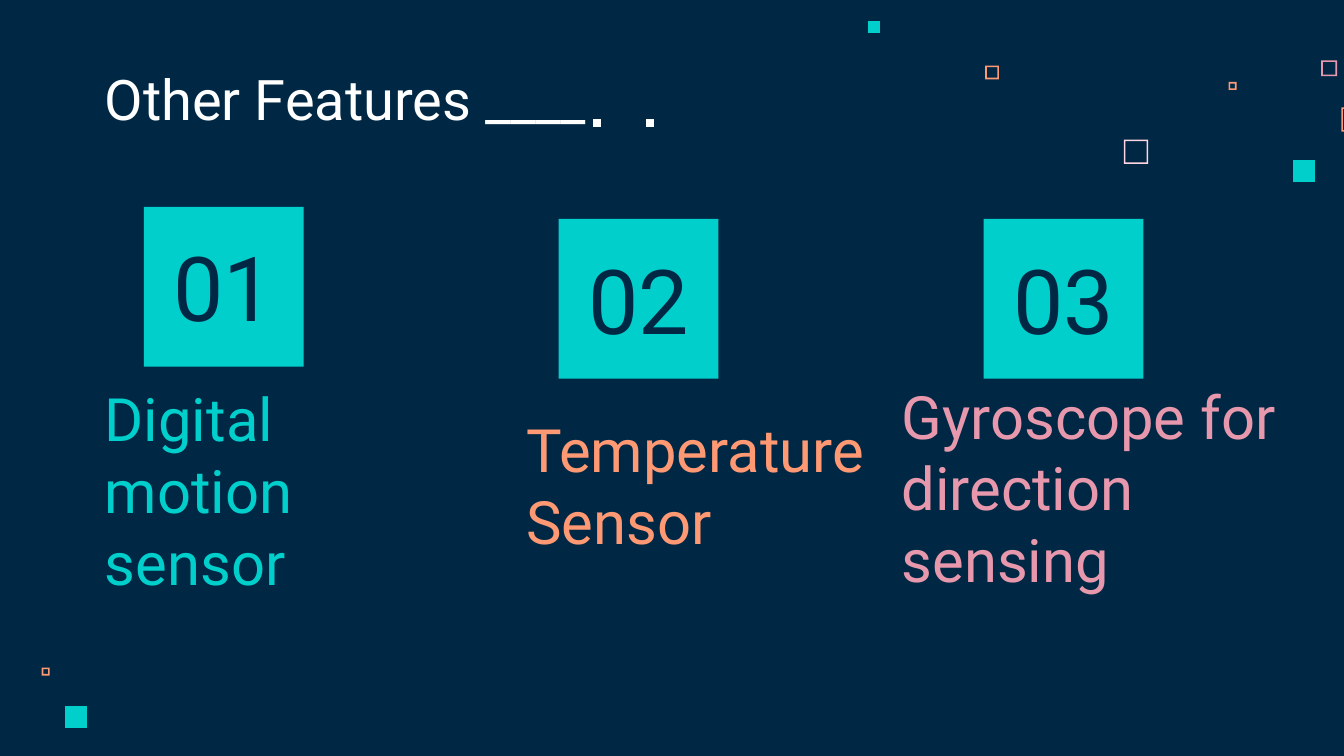
from pptx import Presentation
from pptx.dml.color import RGBColor
from pptx.enum.shapes import MSO_SHAPE
from pptx.enum.text import MSO_ANCHOR, PP_ALIGN
from pptx.util import Cm, Pt

COLORS = {
    "navy": "002845",
    "teal": "00CFCC",
    "orange": "FF9973",
    "pink": "E898AC",
    "blush": "FFD6E1",
    "white": "FFFFFF",
}
FONT = "Roboto"
TILE = 3.02
FRAME_EDGE = 0.03

FRAMES = [
    (21.24, 2.64, 0.46, "blush"),
    (24.97, 1.14, 0.3, "pink"),
    (23.22, 1.55, 0.15, "orange"),
    (25.35, 2.03, 0.46, "orange"),
    (18.62, 1.24, 0.26, "orange"),
    (0.79, 12.62, 0.15, "orange"),
]
CONFETTI = [(24.43, 3.02, 0.43), (16.41, 0.4, 0.23), (1.22, 13.34, 0.43)]
FEATURES = [
    ("01", 2.72, 3.91, "Digital motion sensor", (1.73, 7.44, 7.09, 3.63), "teal"),
    ("02", 10.56, 4.14, "Temperature Sensor", (9.7, 7.98, 7.09, 2.36), "orange"),
    ("03", 18.59, 4.14, "Gyroscope for direction sensing", (16.79, 7.77, 8.59, 2.87), "pink"),
]


def rgb(name):
    return RGBColor.from_string(COLORS[name])


def paint(s, color, line=None):
    s.shadow.inherit = False
    s.fill.solid()
    s.fill.fore_color.rgb = rgb(color)
    if line:
        s.line.color.rgb = rgb(line)
        s.line.width = Pt(0.75)
    else:
        s.line.fill.background()


def add_square(slide, x, y, size, color, line=None):
    s = slide.shapes.add_shape(MSO_SHAPE.RECTANGLE, Cm(x), Cm(y), Cm(size), Cm(size))
    paint(s, color, line)


def add_outline(slide, x, y, size, color, edge=0):
    left, top, right, bottom = Cm(x), Cm(y), Cm(x + size), Cm(y + size)
    fb = slide.shapes.build_freeform(left, top)
    fb.add_line_segments([(right, top), (right, bottom), (left, bottom)])
    if edge:
        e = Cm(edge)
        fb.move_to(left + e, top + e)
        fb.add_line_segments([
            (left + e, bottom - e), (right - e, bottom - e), (right - e, top + e),
        ])
    paint(fb.convert_to_shape(), color)


def add_text(slide, text, box, size, color, anchor=MSO_ANCHOR.MIDDLE, align=PP_ALIGN.LEFT):
    tf = slide.shapes.add_textbox(*map(Cm, box)).text_frame
    tf.word_wrap = True
    tf.vertical_anchor = anchor
    tf.margin_left = tf.margin_right = tf.margin_top = tf.margin_bottom = Cm(0.25)
    p = tf.paragraphs[0]
    p.alignment = align
    r = p.add_run()
    r.text = text
    r.font.name = FONT
    r.font.size = Pt(size)
    r.font.color.rgb = rgb(color)


def add_feature(slide, number, x, y, label, box, color):
    add_text(slide, label, box, 32, color)
    add_square(slide, x, y, TILE, "teal")
    add_text(slide, number, (x + 0.15, y + 0.7, 2.72, 1.6), 48, "navy", align=PP_ALIGN.CENTER)


def main():
    prs = Presentation()
    prs.slide_width, prs.slide_height = Cm(25.4), Cm(14.29)
    slide = prs.slides.add_slide(prs.slide_layouts[6])
    slide.background.fill.solid()
    slide.background.fill.fore_color.rgb = rgb("navy")

    for x, y, size, color in FRAMES:
        add_outline(slide, x, y, size, color, FRAME_EDGE)
    for x, y, size in CONFETTI:
        add_outline(slide, x, y, size, "teal")

    add_text(slide, "Other Features ____", (1.73, 1.14, 12.7, 1.6), 30, "white", MSO_ANCHOR.BOTTOM)
    for x in (11.2, 12.19):
        add_square(slide, x, 2.24, 0.18, "white", "navy")
    for feature in FEATURES:
        add_feature(slide, *feature)

    prs.save("out.pptx")


if __name__ == "__main__":
    main()
